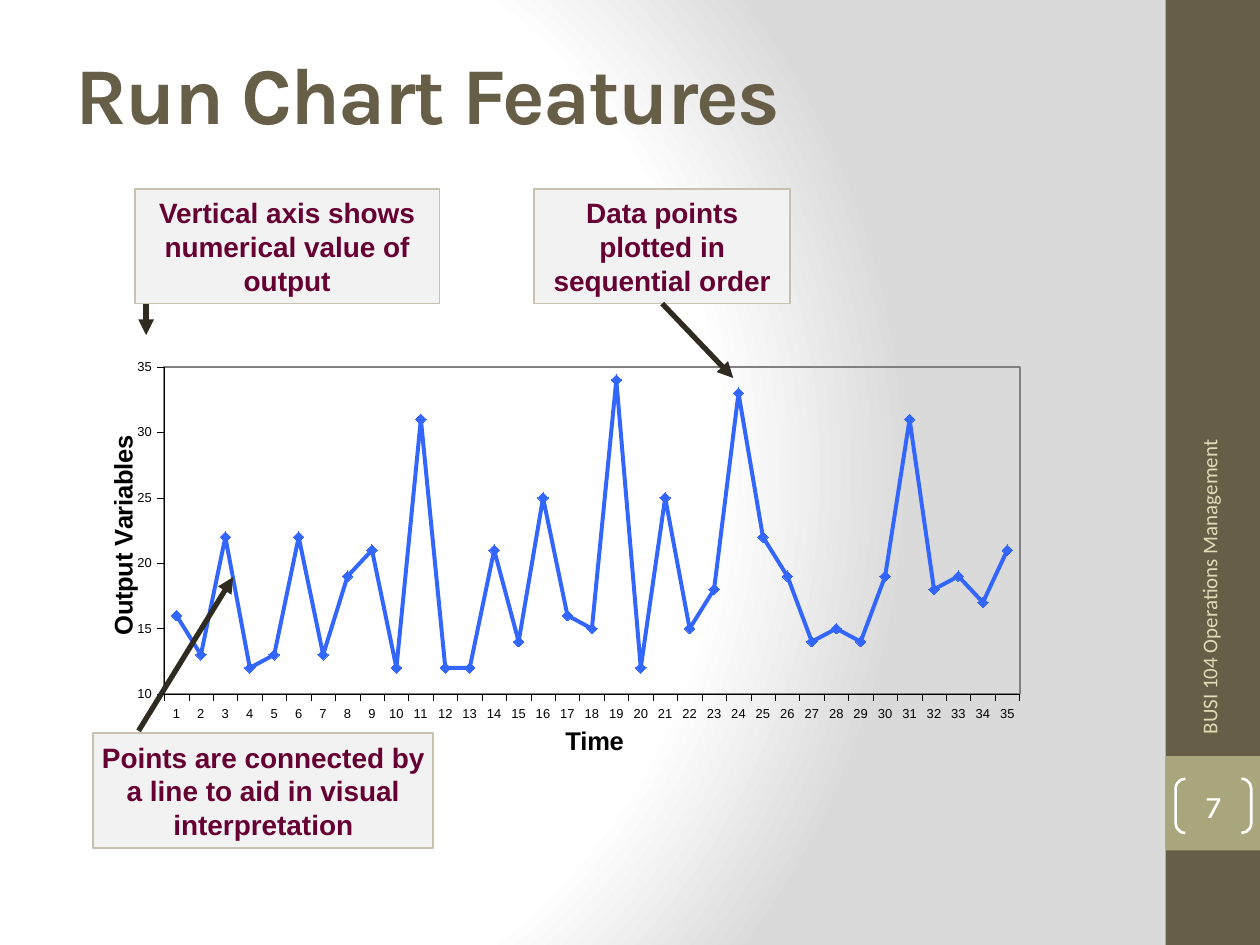
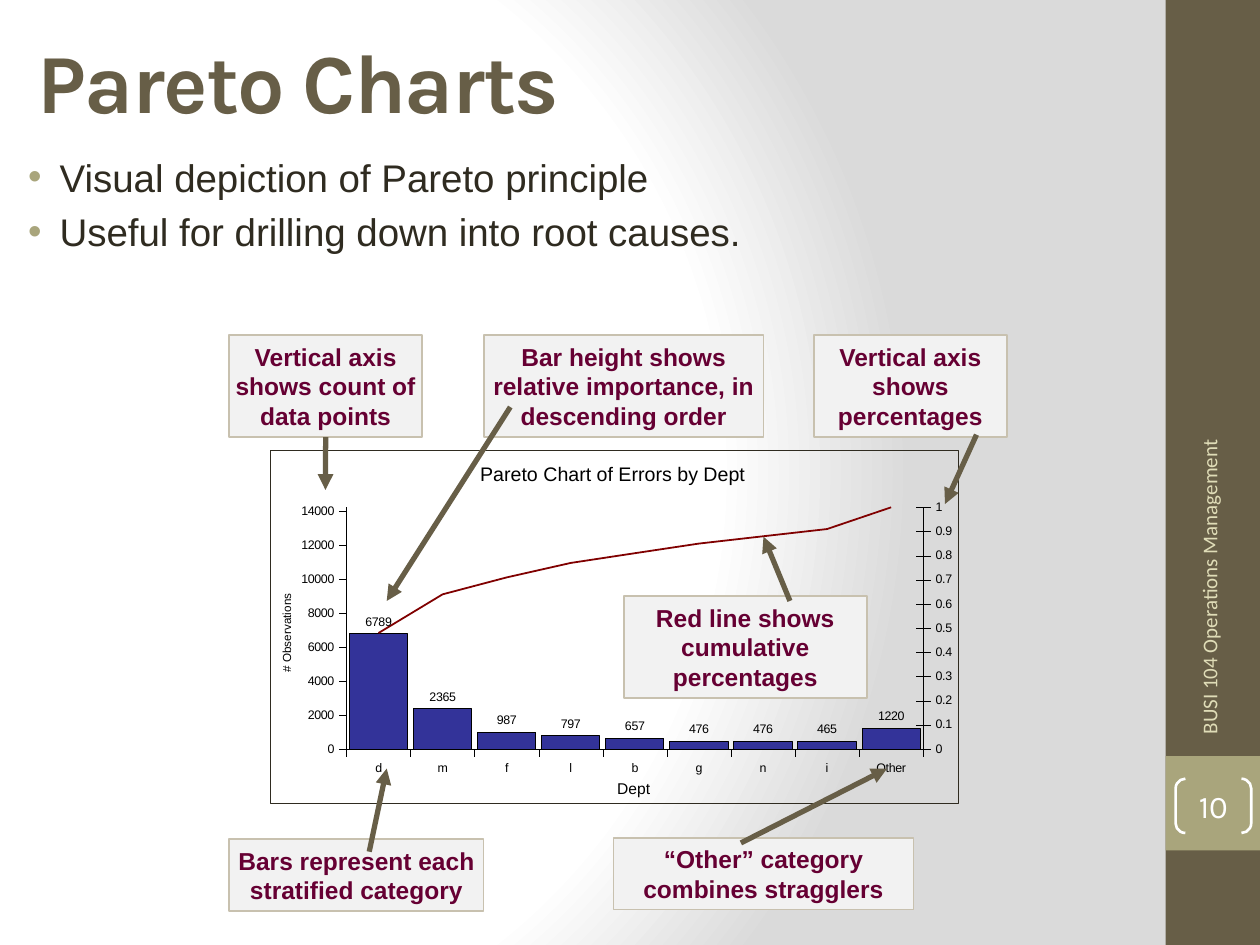
from copy import deepcopy

from pptx import Presentation
from pptx.chart.axis import ValueAxis
from pptx.chart.data import CategoryChartData
from pptx.dml.color import RGBColor
from pptx.enum.chart import XL_CHART_TYPE as ChartType
from pptx.enum.chart import XL_LABEL_POSITION as LabelPosition
from pptx.enum.chart import XL_MARKER_STYLE as MarkerStyle
from pptx.enum.chart import XL_TICK_MARK as TickMark
from pptx.enum.shapes import MSO_CONNECTOR as ConnectorType
from pptx.enum.shapes import MSO_SHAPE as ShapeType
from pptx.enum.text import MSO_ANCHOR as Anchor
from pptx.enum.text import MSO_AUTO_SIZE as AutoSize
from pptx.enum.text import PP_ALIGN as Align
from pptx.oxml import parse_xml
from pptx.oxml.ns import nsdecls, qn
from pptx.util import Pt

COLORS = {
    "olive": "675E47",
    "sage": "A9A57C",
    "cream": "DFDCB7",
    "ink": "2F2B20",
    "white": "FFFFFF",
    "backdrop": "DADADA",
    "callout_fill": "F2F2F2",
    "callout_line": "C8C1AF",
    "callout_text": "660033",
    "black": "000000",
    "plot_border": "808080",
    "run_line": "3366FF",
    "bar": "333399",
    "cumulative": "800000",
}
FOOTER = "BUSI 104 Operations Management"
RUN_VALUES = [16, 13, 22, 12, 13, 22, 13, 19, 21, 12, 31, 12, 12, 21, 14, 25, 16, 15,
              34, 12, 25, 15, 18, 33, 22, 19, 14, 15, 14, 19, 31, 18, 19, 17, 21]
DEPARTMENTS = ["d", "m", "f", "l", "b", "g", "n", "i", "Other"]
ERRORS = [6789, 2365, 987, 797, 657, 476, 476, 465, 1220]
CUMULATIVE = [0.48, 0.64, 0.71, 0.77, 0.81, 0.85, 0.88, 0.91, 1]


def rgb(name):
    return RGBColor.from_string(COLORS[name])


def points(*lengths):
    return [Pt(length) for length in lengths]


def style_font(font, size, color, name="Arial", bold=False):
    font.size, font.name, font.bold = Pt(size), name, bold
    font.color.rgb = rgb(color)


def add_span(para, text, size, color, name="Arial", bold=False):
    span = para.add_run()
    span.text = text
    style_font(span.font, size, color, name, bold)
    return span


def set_line(line, color, width):
    line.color.rgb = rgb(color)
    line.width = Pt(width)


def set_background(deck):
    master = deck.slide_master
    master.background.fill.solid()
    properties = master.element.find(".//" + qn("p:bgPr"))
    stops = "".join(
        f'<a:gs pos="{position}"><a:srgbClr val="{COLORS[color]}"/></a:gs>'
        for position, color in ((0, "white"), (75000, "white"), (100000, "backdrop"))
    )
    gradient = parse_xml(
        f'<a:gradFill {nsdecls("a")} rotWithShape="1"><a:gsLst>{stops}</a:gsLst>'
        '<a:path path="circle"><a:fillToRect l="20000" t="50000" r="100000" b="50000"/>'
        "</a:path></a:gradFill>"
    )
    properties.replace(properties[0], gradient)


def add_box(page, bounds, fill=None, line=None, width=1, kind=ShapeType.RECTANGLE):
    box = page.shapes.add_shape(kind, *points(*bounds))
    box.shadow.inherit = False
    if fill:
        box.fill.solid()
        box.fill.fore_color.rgb = rgb(fill)
    else:
        box.fill.background()
    if line:
        set_line(box.line, line, width)
    else:
        box.line.fill.background()
    return box


def prepare_text(box, inset):
    frame = box.text_frame
    frame.word_wrap = True
    frame.vertical_anchor = Anchor.MIDDLE
    frame.margin_left = frame.margin_right = Pt(inset)
    frame.margin_top = frame.margin_bottom = Pt(inset)
    frame.paragraphs[0].alignment = Align.CENTER
    return frame


def add_page(deck, title, bounds, size, number):
    page = deck.slides.add_slide(deck.slide_layouts[5])
    heading = page.shapes.title
    heading.left, heading.top, heading.width, heading.height = points(*bounds)
    frame = heading.text_frame
    frame.auto_size = AutoSize.NONE
    frame.vertical_anchor = Anchor.MIDDLE
    para = frame.paragraphs[0]
    para.alignment = Align.LEFT
    span = add_span(para, title, size, "olive", "Karla", True)
    span.font._element.set("spc", "-100")

    add_box(page, (666, 0, 54, 540), "olive")
    add_box(page, (666, 432, 54, 54), "sage")
    footer = page.shapes.add_textbox(*points(558.7, 280, 264.3, 29))
    footer.rotation = 270
    footer.text_frame.word_wrap = True
    footer.text_frame.vertical_anchor = Anchor.MIDDLE
    add_span(footer.text_frame.paragraphs[0], FOOTER, 12, "cream", "Calibri")
    bracket = add_box(page, (671.8, 445, 43.2, 31), line="white", width=1.5,
                      kind=ShapeType.DOUBLE_BRACKET)
    bracket.adjustments[0] = 0.18
    add_span(prepare_text(bracket, 0).paragraphs[0], str(number), 18, "white", "Karla")
    return page


def add_callout(page, bounds, size, *texts):
    callout = add_box(page, bounds, "callout_fill", "callout_line")
    frame = prepare_text(callout, 3.6)
    frame.auto_size = AutoSize.SHAPE_TO_FIT_TEXT
    for index, text in enumerate(texts):
        para = frame.add_paragraph() if index else frame.paragraphs[0]
        para.alignment = Align.CENTER
        add_span(para, text, size, "callout_text", bold=True)
    return callout


def add_arrow(page, start, end, color, callout=None):
    arrow = page.shapes.add_connector(ConnectorType.STRAIGHT, *points(*start, *end))
    if callout:
        arrow.begin_connect(callout, 2)
    set_line(arrow.line, color, 3)
    arrow.line._get_or_add_ln().append(
        parse_xml(f'<a:tailEnd {nsdecls("a")} type="triangle"/>'))
    arrow._element.spPr.append(parse_xml(f'<a:effectLst {nsdecls("a")}/>'))


def add_bullets(page, bounds, texts):
    frame = page.shapes.add_textbox(*points(*bounds)).text_frame
    frame.word_wrap = True
    for index, text in enumerate(texts):
        para = frame.add_paragraph() if index else frame.paragraphs[0]
        properties = para._p.get_or_add_pPr()
        properties.set("marL", str(Pt(27)))
        properties.set("indent", str(Pt(-18)))
        for xml in (f'<a:buClr {nsdecls("a")}><a:srgbClr val="{COLORS["sage"]}"/></a:buClr>',
                    f'<a:buFont {nsdecls("a")} typeface="Arial"/>',
                    f'<a:buChar {nsdecls("a")} char="•"/>'):
            properties.append(parse_xml(xml))
        if index:
            para.space_before = Pt(5)
        add_span(para, text, 22, "ink")


def set_layout(parent, index, x, y, size=None):
    for previous in parent.findall(qn("c:layout")):
        parent.remove(previous)
    values = {"xMode": "edge", "yMode": "edge", "x": x, "y": y}
    if size:
        values = {"layoutTarget": "inner", **values, "w": size[0], "h": size[1]}
    children = "".join(f'<c:{key} val="{value}"/>' for key, value in values.items())
    parent.insert(index, parse_xml(
        f'<c:layout {nsdecls("c")}><c:manualLayout>{children}</c:manualLayout></c:layout>'))


def set_title(title, text, size, x, y, bold=False):
    add_span(title.text_frame.paragraphs[0], text, size, "black", bold=bold)
    set_layout(title.element, 1, x, y)


def border(color, width):
    return parse_xml(
        f'<c:spPr {nsdecls("c", "a")}><a:noFill/><a:ln w="{Pt(width)}"><a:solidFill>'
        f'<a:srgbClr val="{COLORS[color]}"/></a:solidFill></a:ln></c:spPr>')


def style_axis(axis, size, width, tick=TickMark.OUTSIDE):
    axis.has_major_gridlines = False
    axis.major_tick_mark, axis.minor_tick_mark = tick, TickMark.NONE
    set_line(axis.format.line, "black", width)
    style_font(axis.tick_labels.font, size, "black")


def set_scale(axis, low, high, step):
    axis.minimum_scale, axis.maximum_scale, axis.major_unit = low, high, step


def add_chart(page, kind, bounds, categories, columns, plot, size, axis_width):
    data = CategoryChartData()
    data.categories = categories
    for number, values in enumerate(columns, 1):
        data.add_series(f"Series {number}", values)
    chart = page.shapes.add_chart(kind, *points(*bounds), data).chart
    chart.has_legend = False
    chart.has_title = False
    style_font(chart.font, size, "black")
    for axis in (chart.category_axis, chart.value_axis):
        style_axis(axis, size, axis_width)
    chart.plots[0].vary_by_categories = False
    set_layout(chart.element.find(".//" + qn("c:plotArea")), 0, *plot[:2], plot[2:])
    return chart


def add_run_chart(page):
    chart = add_chart(page, ChartType.LINE_MARKERS, (53.3, 174.2, 534.2, 267.1),
                      [str(number) for number in range(1, 36)], [RUN_VALUES],
                      (0.076, 0.133, 0.915, 0.7), 7.4, 0.19)
    set_scale(chart.value_axis, 10, 35, 5)
    set_title(chart.category_axis.axis_title, "Time", 14.6, 0.5, 0.89, True)
    set_title(chart.value_axis.axis_title, "Output Variables", 14.6, 0.01, 0.27, True)
    chart.element.find(".//" + qn("c:plotArea")).append(border("plot_border", 1.2))
    series = chart.plots[0].series[0]
    series.smooth = False
    set_line(series.format.line, "run_line", 2.27)
    series.marker.style, series.marker.size = MarkerStyle.DIAMOND, 6
    series.marker.format.fill.solid()
    series.marker.format.fill.fore_color.rgb = rgb("run_line")
    set_line(series.marker.format.line, "run_line", 0.75)


def move_to_right_axis(chart):
    area = chart.element.find(".//" + qn("c:plotArea"))
    bars = area.find(qn("c:barChart"))
    moved = bars.findall(qn("c:ser"))[1]
    for flag in moved.findall(qn("c:invertIfNegative")):
        moved.remove(flag)
    lines = parse_xml(
        f'<c:lineChart {nsdecls("c")}><c:grouping val="standard"/><c:varyColors val="0"/>'
        '<c:marker val="1"/><c:axId val="5001"/><c:axId val="5002"/></c:lineChart>')
    lines.insert(2, moved)
    bars.addnext(lines)
    category, value = (deepcopy(area.find(qn(tag))) for tag in ("c:catAx", "c:valAx"))
    changes = ((category, {"axId": "5001", "crossAx": "5002", "delete": "1"}),
               (value, {"axId": "5002", "crossAx": "5001", "axPos": "r", "crosses": "max"}))
    last = area.find(qn("c:valAx"))
    for axis, settings in changes:
        for tag, setting in settings.items():
            axis.find(qn("c:" + tag)).set("val", setting)
        last.addnext(axis)
        last = axis
    return ValueAxis(value)


def add_pareto_chart(page):
    chart = add_chart(page, ChartType.COLUMN_CLUSTERED, (154.1, 257, 393.8, 202.3),
                      DEPARTMENTS, [ERRORS, CUMULATIVE],
                      (0.111, 0.162, 0.838, 0.685), 7.1, 0.13)
    left_axis = chart.value_axis
    right_axis = move_to_right_axis(chart)
    style_axis(right_axis, 7.1, 0.13, TickMark.CROSS)
    set_scale(right_axis, 0, 1, 0.1)
    set_scale(left_axis, 0, 14232, 2000)
    chart.has_title = True
    set_title(chart.chart_title, "Pareto Chart of Errors by Dept", 11.2, 0.3, 0.02)
    set_title(chart.category_axis.axis_title, "Dept", 8.9, 0.5, 0.92)
    set_title(left_axis.axis_title, "# Observations", 6.7, 0.01, 0.4)
    chart.element.find(qn("c:chart")).addnext(border("ink", 0.5))

    bars, lines = chart.plots
    bars.gap_width = 10
    errors, cumulative = bars.series[0], lines.series[0]
    errors.format.fill.solid()
    errors.format.fill.fore_color.rgb = rgb("bar")
    set_line(errors.format.line, "black", 0.5)
    labels = errors.data_labels
    labels.show_value = True
    labels.position = LabelPosition.OUTSIDE_END
    style_font(labels.font, 7.1, "black")
    cumulative.smooth = False
    cumulative.marker.style = MarkerStyle.NONE
    set_line(cumulative.format.line, "cumulative", 1.02)


def build_run_page(deck):
    page = add_page(deck, "Run Chart Features", (36, 21.6, 600, 62.6), 46, 7)
    add_callout(page, (77, 108, 174.2, 65.5), 16, "Vertical axis shows numerical value of output")
    order = add_callout(page, (305.3, 108, 146.2, 65.5), 16,
                        "Data points plotted in sequential order")
    add_callout(page, (53.3, 419, 194.4, 65.5), 16,
                "Points are connected by a line to aid in visual interpretation")
    add_run_chart(page)
    add_arrow(page, (79.2, 417.6), (133.2, 329.8), "ink")
    add_arrow(page, (83.5, 173.5), (83.5, 191.5), "ink")
    add_arrow(page, (377.3, 173.5), (419, 216), "ink", order)


def build_pareto_page(deck):
    page = add_page(deck, "Pareto Charts", (14.4, 6.5, 600, 77.8), 48, 10)
    add_pareto_chart(page)
    count = add_callout(page, (131, 191.5, 110.2, 58.3), 14,
                        "Vertical axis shows count of data points")
    for bounds, *texts in (
        ((276.5, 191.5, 159.8, 58.3), "Bar height shows relative importance, in",
         "descending order"),
        ((465.1, 191.5, 110.2, 58.3), "Vertical axis shows percentages"),
        ((356.4, 340.6, 139, 58.3), "Red line shows cumulative percentages"),
        ((131, 479.5, 145.4, 41), "Bars represent each stratified category"),
        ((350.6, 478.8, 171.4, 41), "“Other” category combines stragglers"),
    ):
        add_callout(page, bounds, 14, *texts)
    add_arrow(page, (186, 249.8), (186, 280), "olive", count)
    for start, end in (
        ((291.6, 232.6), (221, 343.4)),
        ((558, 248.4), (540, 288)),
        ((451.4, 343.4), (436.3, 306.7)),
        ((211, 486.7), (221, 439.2)),
        ((423.4, 481.7), (506.9, 439.2)),
    ):
        add_arrow(page, start, end, "olive")
    add_bullets(page, (0, 84.2, 678.2, 70.6), [
        "Visual depiction of Pareto principle",
        "Useful for drilling down into root causes.",
    ])


def main():
    deck = Presentation()
    deck.slide_width, deck.slide_height = points(720, 540)
    set_background(deck)
    build_run_page(deck)
    build_pareto_page(deck)
    deck.save("out.pptx")


if __name__ == "__main__":
    main()
